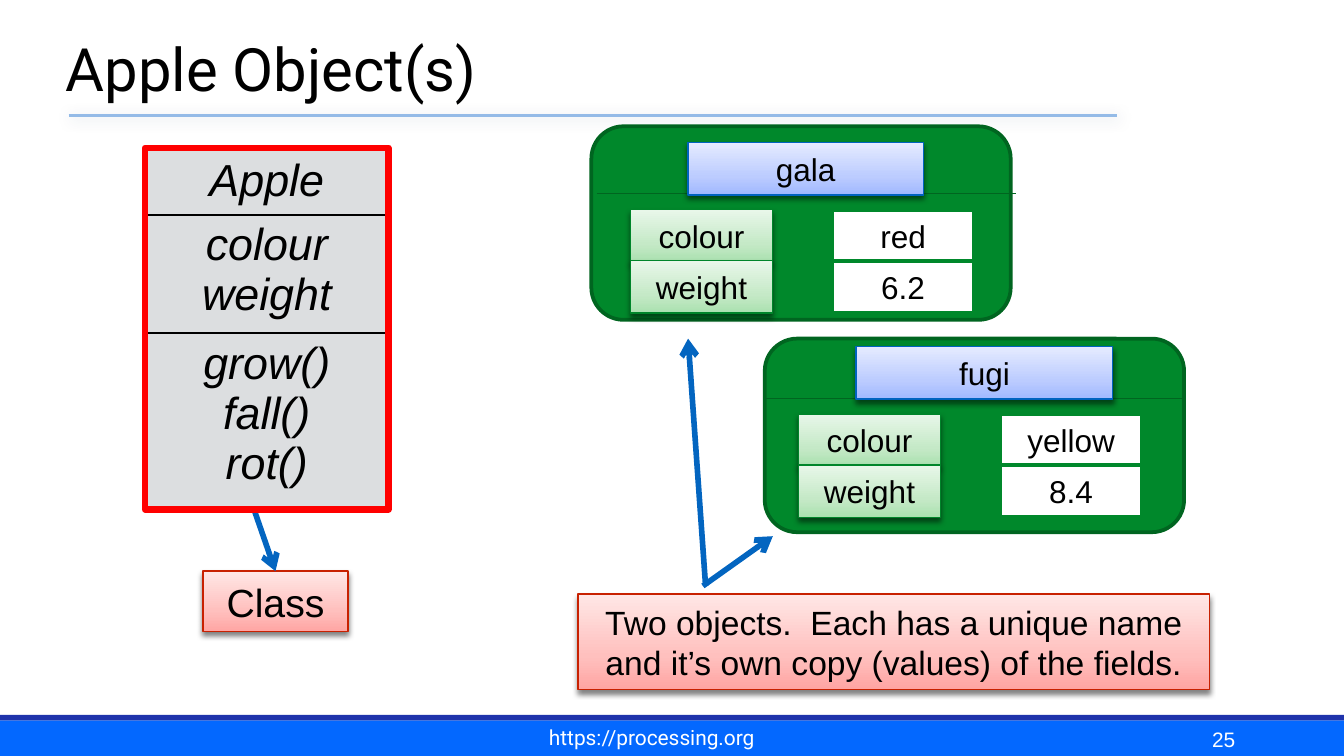
from lxml import etree
from pptx import Presentation
from pptx.dml.color import RGBColor
from pptx.enum.shapes import MSO_CONNECTOR, MSO_SHAPE
from pptx.enum.text import MSO_ANCHOR, MSO_AUTO_SIZE, PP_ALIGN
from pptx.oxml import parse_xml
from pptx.oxml.ns import nsdecls, qn
from pptx.util import Inches, Pt

RECT, ROUNDED = MSO_SHAPE.RECTANGLE, MSO_SHAPE.ROUNDED_RECTANGLE
STRAIGHT = MSO_CONNECTOR.STRAIGHT
LEFT, CENTER, RIGHT = PP_ALIGN.LEFT, PP_ALIGN.CENTER, PP_ALIGN.RIGHT
TOP, MIDDLE, BOTTOM = MSO_ANCHOR.TOP, MSO_ANCHOR.MIDDLE, MSO_ANCHOR.BOTTOM
NO_AUTOFIT = MSO_AUTO_SIZE.NONE
PINK = ("FFA5A3", "FFC0BE", "FFE7E6")
GREEN = ("AAE1AF", "C5E9C7", "E8F7E9")
BLUE = ("A0B8FF", "BCCCFF", "E5EBFF")


def color(value):
    """Turn a hex string into a colour."""
    return RGBColor.from_string(value)


def shadow_xml(hex_color, alpha, blur, distance, angle):
    """Return an outer shadow; blur and distance are in points."""
    return parse_xml(
        f'<a:outerShdw {nsdecls("a")} blurRad="{Pt(blur)}" dist="{Pt(distance)}" '
        f'dir="{angle * 60000}" rotWithShape="0"><a:srgbClr val="{hex_color}">'
        f'<a:alpha val="{alpha * 1000}"/></a:srgbClr></a:outerShdw>')


def write(frame, text, size, font="Arial", ink="000000", align=CENTER,
          anchor=MIDDLE, italic=None):
    """Fill a text frame or table cell and format every run."""
    frame.text = text
    frame.vertical_anchor = anchor
    paragraphs = getattr(frame, "text_frame", frame).paragraphs
    for paragraph in paragraphs:
        paragraph.alignment = align
        for run in paragraph.runs:
            run.font.size, run.font.name, run.font.italic = Pt(size), font, italic
            run.font.color.rgb = color(ink)


def add_box(slide, box, fill=None, outline=None, width=0.75, kind=RECT):
    """Add a flat shape with an optional fill and outline."""
    shape = slide.shapes.add_shape(kind, *map(Inches, box))
    shape.shadow.inherit = False
    if fill:
        shape.fill.solid()
        shape.fill.fore_color.rgb = color(fill)
    else:
        shape.fill.background()
    if outline:
        shape.line.color.rgb = color(outline)
        shape.line.width = Pt(width)
    else:
        shape.line.fill.background()
    return shape


def add_label(slide, box, text, size, shades, outline):
    """Add a shadowed label whose gradient rises from dark to light."""
    label = add_box(slide, box, outline=outline)
    label.fill.gradient()
    label.fill.gradient_angle = 90
    stops = label._element.spPr.find(qn("a:gradFill")).find(qn("a:gsLst"))
    for stop in list(stops):
        stops.remove(stop)
    for position, shade in zip((0, 35, 100), shades):
        stops.append(parse_xml(
            f'<a:gs {nsdecls("a")} pos="{position * 1000}"><a:srgbClr val="{shade}"/></a:gs>'))
    effects = label._element.spPr.find(qn("a:effectLst"))
    effects.append(shadow_xml("000000", 50, 3, 2, 90))
    label.text_frame.word_wrap = True
    write(label.text_frame, text, size)


def add_line(slide, start, end, hex_color, width, arrow=False):
    """Add a straight line, with an open arrowhead if asked, and return its effects."""
    line = slide.shapes.add_connector(STRAIGHT, *map(Inches, start + end))
    line.line.color.rgb = color(hex_color)
    line.line.width = Pt(width)
    if arrow:
        etree.SubElement(line.line._get_or_add_ln(), qn("a:tailEnd"), type="arrow")
    return etree.SubElement(line._element.spPr, qn("a:effectLst"))


def add_caption(slide, box, text, font, align, inset):
    """Add white footer text."""
    frame = slide.shapes.add_textbox(*map(Inches, box)).text_frame
    frame.word_wrap = True
    frame.margin_left = frame.margin_right = Inches(inset)
    frame.margin_top = frame.margin_bottom = Inches(0.04)
    write(frame, text, 11.2, font, "FFFFFF", align, BOTTOM)


def add_header(slide, box, text):
    """Place the title and the shaded rule beneath it."""
    left, top, width, height = box
    title = slide.shapes.title
    title.left, title.top, title.width, title.height = map(Inches, box)
    frame = title.text_frame
    frame.auto_size = NO_AUTOFIT
    frame.margin_left = frame.margin_right = Inches(0.06)
    frame.margin_top = frame.margin_bottom = Inches(0.06)
    write(frame, text, 32, "Roboto", align=LEFT, anchor=BOTTOM)
    rule_y = top + height + 0.03
    effects = add_line(slide, (left + 0.08, rule_y), (left + 7.88, rule_y), "94BBE7", 1.25)
    effects.append(shadow_xml("003D62", 20, 8, 1, 45))


def add_footer(slide, box, address, number):
    """Place the footer band, its dark edge, the address and the page number."""
    left, top, width, height = box
    add_box(slide, (left, top + 0.04, width, height - 0.04), "0368FF")
    add_box(slide, (left, top, width, 0.04), "1F33AB")
    add_caption(slide, (left + 3.52, top + 0.04, 2.66, 0.26), address, "Roboto", CENTER, 0.08)
    add_caption(slide, (left + 7.17, top, 2.08, 0.31), number, "Arial", RIGHT, 0.06)


def add_class_diagram(slide, box, sections):
    """Place the class table in its red frame, pointing at the Class label."""
    left, top, width, height = box
    table_box = (left, top + 0.02, width, height - 0.04)
    table = slide.shapes.add_table(len(sections), 1, *map(Inches, table_box)).table
    for row, (text, row_height) in enumerate(sections):
        table.rows[row].height = Inches(row_height)
        cell = table.cell(row, 0)
        cell.margin_left = cell.margin_right = Inches(0.07)
        cell.margin_top = cell.margin_bottom = Inches(0.04)
        write(cell, text, 24, anchor=TOP, italic=True)
        for side in ("lnL", "lnR", "lnT", "lnB"):
            cell._tc.get_or_add_tcPr().append(parse_xml(
                f'<a:{side} {nsdecls("a")} w="{Pt(1)}"><a:solidFill>'
                f'<a:srgbClr val="000000"/></a:solidFill></a:{side}>'))
        cell.fill.solid()
        cell.fill.fore_color.rgb = color("DCDEE0")
    bottom = top + height
    add_label(slide, (left + 0.43, bottom + 0.46, 1.08, 0.45), "Class", 21, PINK, "C82101")
    add_line(slide, (left + 0.81, bottom), (left + 0.97, bottom + 0.46), "0365C0", 3, True)
    add_box(slide, box, outline="FF0000", width=3.5)


def add_object_card(slide, box, name, name_width, fields, shift):
    """Place one object card: its name above rows of fields and values."""
    left, top, width, height = box
    add_box(slide, box, "00882B", "006520", 2, ROUNDED)
    x, y = left + shift[0], top + shift[1]
    add_line(slide, (x, y + 0.44), (x + width, y + 0.44), "006520", 0.25)
    for row, (field, value) in enumerate(fields):
        row_y = y + 0.56 + row * 0.38
        add_label(slide, (x + 0.25, row_y, 1.06, 0.39), field, 16.9, GREEN, "00852A")
        value_box = add_box(slide, (x + 1.75, row_y, 1.06, 0.39), "FFFFFF", "00882B", 2)
        write(value_box.text_frame, value, 16.9)
    add_label(slide, (x + 0.68, y + 0.06, name_width, 0.39), name, 16.9, BLUE, "0063BF")


def add_objects_note(slide, box, text):
    """Place the note on objects with an arrow to each card."""
    left, top = box[:2]
    add_label(slide, box, text, 18, PINK, "C82101")
    add_line(slide, (left + 0.95, top - 0.06), (left + 0.82, top - 1.9), "0365C0", 3, True)
    add_line(slide, (left + 0.93, top - 0.06), (left + 1.45, top - 0.43), "0365C0", 3, True)


def main():
    """Build and save the slide."""
    deck = Presentation()
    deck.slide_width = Inches(10)
    deck.slide_height = deck.slide_width * 9 // 16
    slide = deck.slides.add_slide(deck.slide_layouts[5])
    add_footer(slide, (0, 5.32, 10, 0.31), "https://processing.org", "25")
    add_header(slide, (0.43, 0, 8.5, 0.83), "Apple Object(s)")
    add_class_diagram(slide, (1.08, 1.1, 1.81, 2.69), (
        ("Apple", 0.48), ("colour\nweight", 0.88), ("grow()\nfall()\nrot()", 1.29)))
    add_objects_note(slide, (4.3, 4.42, 4.7, 0.71),
                     "Two objects.  Each has a unique name and it’s own copy (values) of the fields.")
    add_object_card(slide, (4.4, 0.94, 3.12, 1.44), "gala", 1.75,
                    (("colour", "red"), ("weight", "6.2")), (0.04, 0.06))
    add_object_card(slide, (5.69, 2.52, 3.12, 1.44), "fugi", 1.91,
                    (("colour", "yellow"), ("weight", "8.4")), (0, 0))
    deck.save("out.pptx")


if __name__ == "__main__":
    main()
